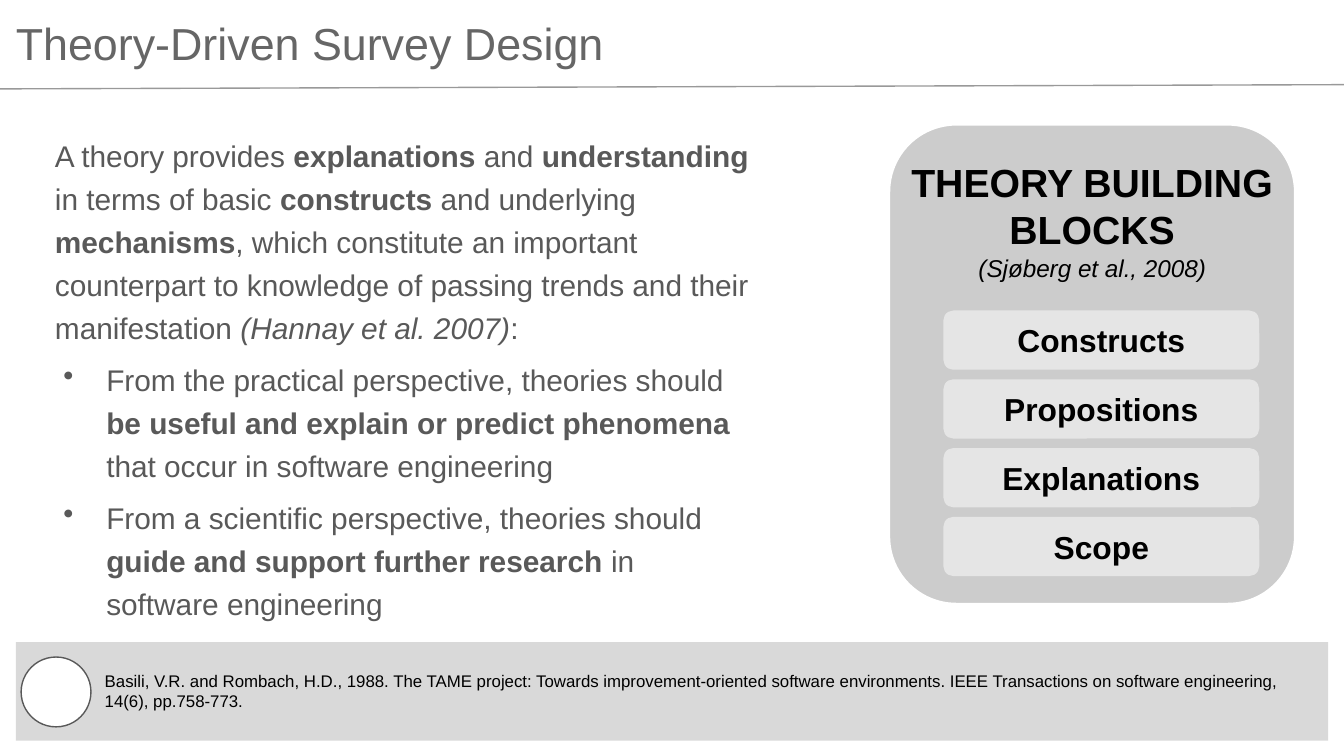
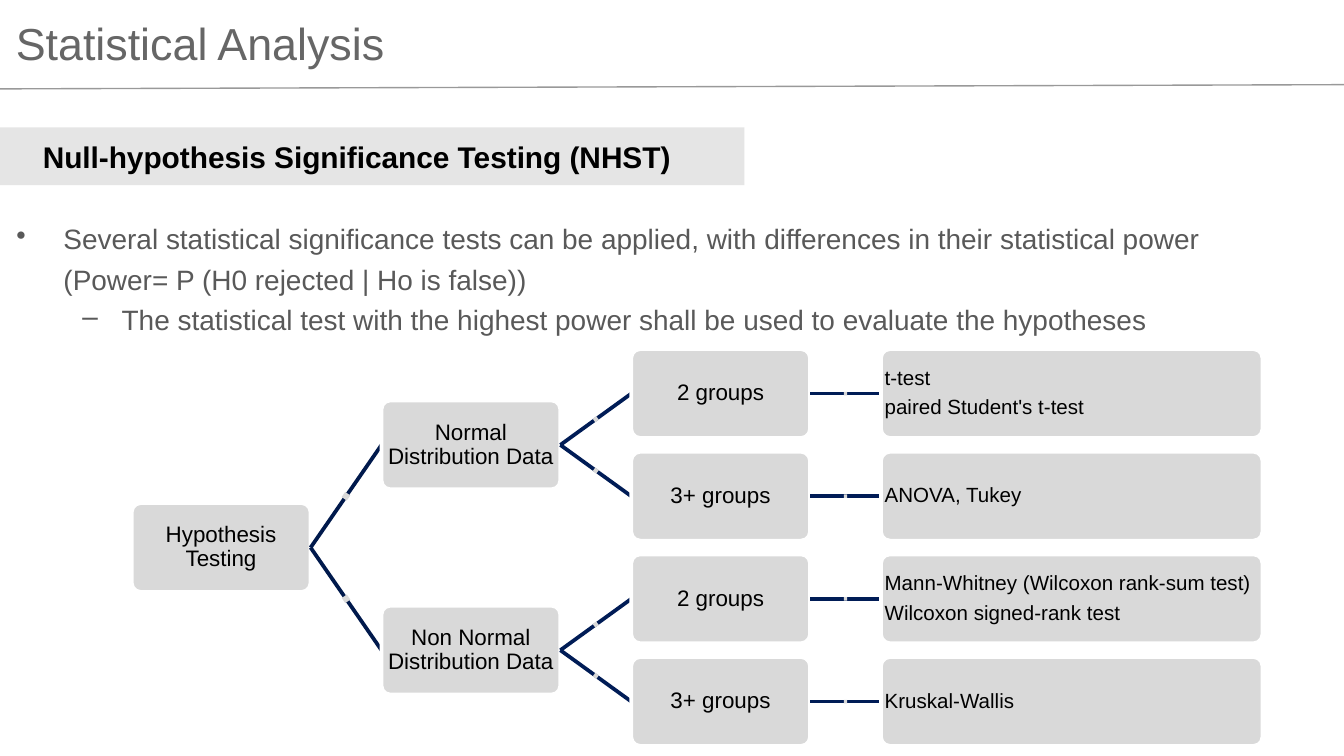
from math import atan2, degrees, hypot

from lxml.etree import SubElement
from pptx import Presentation
from pptx.dml.color import RGBColor
from pptx.enum.shapes import MSO_CONNECTOR, MSO_SHAPE
from pptx.enum.text import MSO_ANCHOR, PP_ALIGN
from pptx.oxml.ns import qn
from pptx.util import Cm, Pt

FONT = "Arial"
BLACK, WHITE = "000000", "FFFFFF"
TITLE_GRAY, BODY_GRAY, RULE_GRAY = "666666", "595959", "999999"
PANEL_GRAY, BAND_GRAY, NODE_GRAY = "CCCCCC", "E5E5E5", "D9D9D9"
ROOT_NAVY, BRANCH_NAVY = "00194C", "001C56"
SLIDE_WIDTH, SLIDE_HEIGHT = 25.4, 14.29

BLOCKS = ("Constructs", "Propositions", "Explanations", "Scope")
BLOCK_TOP, BLOCK_STEP = 5.87, 1.3

TREE_LEFT, TREE_TOP = 2.49, 6.6
COLUMN_STEP, ROW_STEP = 4.72, 1.94
NODE_WIDTH, TEST_WIDTH, NODE_HEIGHT = 3.38, 7.21, 1.68
TEST_TREE = ("Hypothesis Testing", [
    ("Normal Distribution Data", [
        ("2 groups", [("t-test\npaired Student's t-test", [])]),
        ("3+ groups", [("ANOVA, Tukey", [])]),
    ]),
    ("Non Normal Distribution Data", [
        ("2 groups", [("Mann-Whitney (Wilcoxon rank-sum test)\nWilcoxon signed-rank test", [])]),
        ("3+ groups", [("Kruskal-Wallis", [])]),
    ]),
])


def paint(color_format, color):
    """Set a colour from a hex string."""
    color_format.rgb = RGBColor.from_string(color)


def write(frame, text, size=16, color=BLACK, bold=False, italic=False, align=PP_ALIGN.LEFT,
          spacing=None, before=None, bullet=None, margin=0, hang=0, level=0):
    """Add one paragraph, in which ** toggles bold and // toggles italic."""
    first = frame.paragraphs[0]
    paragraph = frame.add_paragraph() if first.runs else first
    paragraph.level = level
    paragraph.alignment = align
    if margin:
        properties = paragraph._p.get_or_add_pPr()
        properties.set("marL", str(Cm(margin)))
        properties.set("indent", str(-Cm(hang)))
        if bullet:
            bullet_color = SubElement(properties, qn("a:buClr"))
            SubElement(bullet_color, qn("a:srgbClr"), val=color)
            SubElement(properties, qn("a:buChar"), char=bullet)
    if spacing:
        paragraph.line_spacing = spacing
    if before:
        paragraph.space_before = Pt(before)
    for bold_turn, part in enumerate(text.split("**")):
        for italic_turn, piece in enumerate(part.split("//")):
            if piece:
                run = paragraph.add_run()
                run.text = piece
                run.font.name = FONT
                run.font.size = Pt(size)
                run.font.bold = bold or bold_turn % 2 == 1
                run.font.italic = italic or italic_turn % 2 == 1
                paint(run.font.color, color)


def set_margins(frame, across, down):
    """Wrap a text frame and set its inner margins."""
    frame.word_wrap = True
    frame.margin_left = frame.margin_right = Cm(across)
    frame.margin_top = frame.margin_bottom = Cm(down)


def add_text(slide, left, top, width, height, down=0.13):
    """Add a text box and return its frame."""
    frame = slide.shapes.add_textbox(Cm(left), Cm(top), Cm(width), Cm(height)).text_frame
    set_margins(frame, 0.25, down)
    return frame


def add_panel(slide, kind, left, top, width, height, fill, outline=None, weight=2.0, rounding=None):
    """Add a filled shape, outlined if a line colour is given."""
    panel = slide.shapes.add_shape(kind, Cm(left), Cm(top), Cm(width), Cm(height))
    panel.shadow.inherit = False
    panel.fill.solid()
    paint(panel.fill.fore_color, fill)
    if outline:
        paint(panel.line.color, outline)
        panel.line.width = Pt(weight)
    else:
        panel.line.fill.background()
    if rounding:
        panel.adjustments[0] = rounding
    panel.text_frame.vertical_anchor = MSO_ANCHOR.MIDDLE
    return panel


def add_line(slide, start, end, color, weight):
    """Draw a straight line between two points."""
    line = slide.shapes.add_connector(MSO_CONNECTOR.STRAIGHT, *map(Cm, start + end))
    paint(line.line.color, color)
    line.line.width = Pt(weight)
    SubElement(line._element.spPr, qn("a:effectLst"))


def add_titled_slide(deck, title, title_width):
    """Add a slide with the shared title and the rule below it."""
    slide = deck.slides.add_slide(deck.slide_layouts[6])
    write(add_text(slide, 0.05, 0.05, title_width, 1.55, down=0.25), title, size=24, color=TITLE_GRAY)
    add_line(slide, (0, 1.68), (SLIDE_WIDTH, 1.6), RULE_GRAY, 0.75)
    return slide


def add_reference(slide, citation):
    """Add the footer band with its round mark and citation."""
    add_panel(slide, MSO_SHAPE.RECTANGLE, 0.3, 12.14, 24.8, 1.86, NODE_GRAY)
    write(add_text(slide, 1.73, 12.55, 23.11, 1.09), citation, size=9)
    add_panel(slide, MSO_SHAPE.OVAL, 0.4, 12.42, 1.32, 1.32, WHITE, BODY_GRAY, 0.75)


def add_building_blocks(slide):
    """Add the panel with the stacked theory building blocks."""
    add_panel(slide, MSO_SHAPE.ROUNDED_RECTANGLE, 16.79, 2.34, 7.7, 9.09, PANEL_GRAY, WHITE, rounding=0.167)
    for index, name in enumerate(BLOCKS):
        block = add_panel(slide, MSO_SHAPE.ROUNDED_RECTANGLE, 17.83, BLOCK_TOP + index * BLOCK_STEP,
                          5.97, 1.12, BAND_GRAY, rounding=0.167)
        set_margins(block.text_frame, 0.25, 0.13)
        write(block.text_frame, name, size=17, bold=True, align=PP_ALIGN.CENTER)
    heading = add_text(slide, 16.79, 2.87, 7.7, 2.62)
    write(heading, "THEORY BUILDING BLOCKS", size=21, bold=True, align=PP_ALIGN.CENTER)
    write(heading, "(Sjøberg et al., 2008)", size=13, italic=True, align=PP_ALIGN.CENTER)


def count_rows(node):
    """Count the end rows below a tree node."""
    return sum(map(count_rows, node[1])) or 1


def node_middle(node, row):
    """Return the height of a node centred on its rows."""
    return TREE_TOP + NODE_HEIGHT / 2 + (row + (count_rows(node) - 1) / 2) * ROW_STEP


def add_branch(slide, start, end, color):
    """Join two nodes with a line that has a small mark halfway."""
    add_line(slide, start, end, color, 2)
    across, down = end[0] - start[0], end[1] - start[1]
    side = hypot(across, down) / 20
    mark = add_panel(slide, MSO_SHAPE.RECTANGLE, (start[0] + end[0] - side) / 2,
                     (start[1] + end[1] - side) / 2, side, side, NODE_GRAY)
    mark.rotation = degrees(atan2(down, across))


def add_tree(slide, node, depth=0, row=0):
    """Draw a node and everything that branches from it."""
    label, children = node
    left, middle = TREE_LEFT + depth * COLUMN_STEP, node_middle(node, row)
    box = add_panel(slide, MSO_SHAPE.ROUNDED_RECTANGLE, left, middle - NODE_HEIGHT / 2,
                    NODE_WIDTH if children else TEST_WIDTH, NODE_HEIGHT, NODE_GRAY, WHITE, rounding=0.1)
    set_margins(box.text_frame, 0.02, 0.02)
    for index, text in enumerate(label.split("\n")):
        write(box.text_frame, text, size=12 if children else 11, spacing=0.9,
              before=3.9 if index else None, align=PP_ALIGN.CENTER if children else PP_ALIGN.LEFT)
    for child in children:
        add_branch(slide, (left + NODE_WIDTH, middle), (left + COLUMN_STEP, node_middle(child, row)),
                   BRANCH_NAVY if depth else ROOT_NAVY)
        add_tree(slide, child, depth + 1, row)
        row += count_rows(child)


def add_theory_slide(deck):
    """Build the slide on theory-driven design."""
    slide = add_titled_slide(deck, "Theory-Driven Survey Design", 14.88)
    add_reference(slide, "Basili, V.R. and Rombach, H.D., 1988. The TAME project: Towards "
                  "improvement-oriented software environments. IEEE Transactions on software "
                  "engineering, 14(6), pp.758-773.")
    body = add_text(slide, 0.79, 2.34, 13.69, 7.87)
    write(body, "A theory provides **explanations** and **understanding** in terms of basic "
          "**constructs** and underlying **mechanisms**, which constitute an important counterpart "
          "to knowledge of passing trends and their manifestation //(Hannay et al. 2007)//:",
          color=BODY_GRAY, spacing=1.2)
    for perspective in (
        "From the practical perspective, theories should **be useful and explain or predict "
        "phenomena** that occur in software engineering",
        "From a scientific perspective, theories should **guide and support further research** "
        "in software engineering",
    ):
        write(body, perspective, color=BODY_GRAY, spacing=1.2, before=4.8,
              bullet="•", margin=0.97, hang=0.81)
    add_building_blocks(slide)


def add_statistics_slide(deck):
    """Build the slide on choosing a significance test."""
    slide = add_titled_slide(deck, "Statistical Analysis", 25.07)
    add_panel(slide, MSO_SHAPE.RECTANGLE, 0, 2.41, 14.07, 1.09, BAND_GRAY)
    write(add_text(slide, 0.56, 2.49, 12.9, 0.81), "Null-hypothesis Significance Testing (NHST)", bold=True)
    body = add_text(slide, 0, 3.94, SLIDE_WIDTH, 2.9)
    shared = dict(size=15, color=BODY_GRAY, spacing=1.2)
    write(body, "Several statistical significance tests can be applied, with differences in their "
          "statistical power", bullet="•", margin=0.95, hang=0.89, **shared)
    write(body, "(Power= P (H0 rejected | Ho is false))", margin=0.95, **shared)
    write(body, "The statistical test with the highest power shall be used to evaluate the hypotheses",
          bullet="–", margin=2.05, hang=0.74, level=1, **shared)
    add_tree(slide, TEST_TREE)


def main():
    """Build and save the presentation."""
    deck = Presentation()
    deck.slide_width, deck.slide_height = Cm(SLIDE_WIDTH), Cm(SLIDE_HEIGHT)
    add_theory_slide(deck)
    add_statistics_slide(deck)
    deck.save("out.pptx")


if __name__ == "__main__":
    main()
